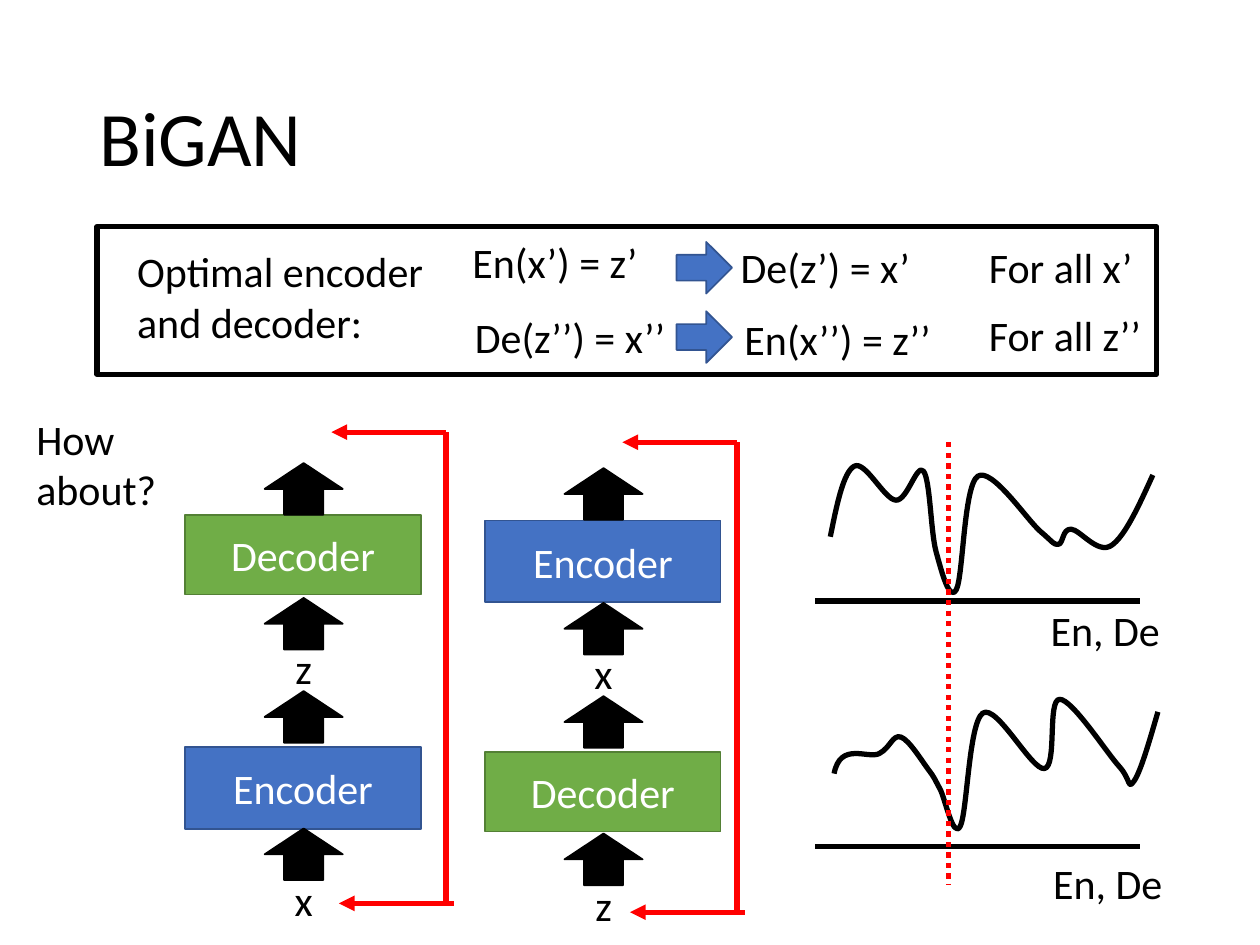
from lxml import etree
from pptx import Presentation
from pptx.dml.color import RGBColor
from pptx.enum.dml import MSO_LINE
from pptx.enum.shapes import MSO_CONNECTOR, MSO_SHAPE
from pptx.enum.text import MSO_ANCHOR, MSO_AUTO_SIZE, PP_ALIGN
from pptx.oxml.ns import qn
from pptx.util import Inches, Pt

RECTANGLE, RIGHT_ARROW = MSO_SHAPE.RECTANGLE, MSO_SHAPE.RIGHT_ARROW
STRAIGHT, DOTTED = MSO_CONNECTOR.STRAIGHT, MSO_LINE.ROUND_DOT
LEFT, CENTER, MIDDLE = PP_ALIGN.LEFT, PP_ALIGN.CENTER, MSO_ANCHOR.MIDDLE
GROW = MSO_AUTO_SIZE.SHAPE_TO_FIT_TEXT

BLACK = RGBColor(0x00, 0x00, 0x00)
WHITE = RGBColor(0xFF, 0xFF, 0xFF)
RED = RGBColor(0xFF, 0x00, 0x00)
BLUE = RGBColor(0x44, 0x72, 0xC4)
DARK_BLUE = RGBColor(0x32, 0x54, 0x91)
GREEN = RGBColor(0x70, 0xAD, 0x47)
DARK_GREEN = RGBColor(0x53, 0x80, 0x35)

# Height, fill and outline of each network block
BLOCKS = {"Encoder": (0.65, BLUE, DARK_BLUE), "Decoder": (0.63, GREEN, DARK_GREEN)}


def write(frame, text, color=BLACK, size=24, align=LEFT):
    frame.text = text
    frame.word_wrap = True
    paragraph = frame.paragraphs[0]
    paragraph.alignment = align
    for name, value in {"name": "Calibri", "size": Pt(size)}.items():
        setattr(paragraph.font, name, value)
    paragraph.font.color.rgb = color
    return paragraph


def add_text(slide, text, left, top, width, height=0.5, align=LEFT):
    box = slide.shapes.add_textbox(*map(Inches, (left, top, width, height)))
    write(box.text_frame, text, align=align)
    box.text_frame.auto_size = GROW


def style_outline(shape, color, width, fill=None):
    shape.shadow.inherit = False
    shape.line.color.rgb = color
    shape.line.width = Pt(width)
    if fill is None:
        shape.fill.background()
    else:
        shape.fill.solid()
        shape.fill.fore_color.rgb = fill


def add_preset(slide, preset, box, fill, outline, width=1):
    shape = slide.shapes.add_shape(preset, *map(Inches, box))
    style_outline(shape, outline, width, fill)
    return shape


def add_line(slide, start, end, color, arrow=False, dash=None):
    line = slide.shapes.add_connector(STRAIGHT, *map(Inches, start + end))
    line.line.color.rgb = color
    line.line.width = Pt(3)
    if dash:
        line.line.dash_style = dash
    if arrow:
        etree.SubElement(line.line._get_or_add_ln(), qn("a:tailEnd"), type="triangle")
    etree.SubElement(line._element.spPr, qn("a:effectLst"))


def add_curve(slide, points, first_control=None):
    """Smooth curve through the points, with tangents parallel to their neighbours."""
    points = [tuple(map(Inches, point)) for point in points]
    builder = slide.shapes.build_freeform(*points[0], scale=1.0)
    builder.add_line_segments(points[1:], close=False)
    shape = builder.convert_to_shape()
    style_outline(shape, BLACK, 3)

    def handle(index, sign):
        before, here, after = points[index - 1:index + 2]
        return tuple(h + sign * (a - b) / 6 for b, h, a in zip(before, here, after))

    def midpoint(first, second):
        return tuple((a + b) / 2 for a, b in zip(first, second))

    last = len(points) - 1
    for index, segment in enumerate(shape._element.findall(".//" + qn("a:lnTo"))):
        leaving = handle(index, 1) if index else None
        arriving = handle(index + 1, -1) if index + 1 < last else midpoint(leaving, points[last])
        if leaving is None:
            leaving = tuple(map(Inches, first_control)) if first_control else midpoint(points[0], arriving)
        segment.tag = qn("a:cubicBezTo")
        for place, (x, y) in enumerate((leaving, arriving)):
            point = etree.Element(qn("a:pt"), x=str(int(x - shape.left)), y=str(int(y - shape.top)))
            segment.insert(place, point)


def add_title(slide, box):
    title = slide.shapes.title
    for name, value in zip(("left", "top", "width", "height"), box):
        setattr(title, name, Inches(value))
    paragraph = write(title.text_frame, "BiGAN", size=44)
    paragraph.line_spacing = 0.9
    title.text_frame.vertical_anchor = MIDDLE


def add_optimum(slide, box):
    left, top, width, height = box
    # Text, horizontal and vertical offset, width
    formulas = [
        ("En(x’) = z’", 2.88, 0.03, 2.64),
        ("De(z’) = x’", 5.01, 0.07, 1.78),
        ("For all x’", 6.98, 0.07, 1.44),
        ("De(z’’) = x’’", 2.90, 0.62, 1.78),
        ("En(x’’) = z’’", 5.04, 0.64, 1.75),
        ("For all z’’", 6.98, 0.61, 1.44),
    ]
    for text, x, y, text_width in formulas:
        add_text(slide, text, left + x, top + y, text_width)
    for y in (0.12, 0.67):
        add_preset(slide, RIGHT_ARROW, (left + 4.6, top + y, 0.44, 0.41), BLUE, DARK_BLUE)
    add_preset(slide, RECTANGLE, box, None, BLACK, 3)
    add_text(slide, "Optimal encoder and decoder:", left + 0.22, top + 0.1, 2.54, 0.91)


def add_network(slide, left, top, width, blocks, signals):
    """Two blocks from top to bottom, each with the signal that enters it."""
    center = left + width / 2
    for name, offset in zip(blocks, (0.66, 2.5)):
        height, fill, outline = BLOCKS[name]
        block = add_preset(slide, RECTANGLE, (left, top + offset, width, height), fill, outline)
        write(block.text_frame, name, WHITE, align=CENTER)
        block.text_frame.vertical_anchor = MIDDLE
    for signal, offset in zip(signals, (1.62, 3.46)):
        add_text(slide, signal, center - 0.62, top + offset, 1.25, align=CENTER)
    for offset in (0.45, 1.52, 2.26, 3.35):
        arrow_box = (center - 0.2, top + offset - 0.31, 0.41, 0.62)
        add_preset(slide, RIGHT_ARROW, arrow_box, BLACK, BLACK).rotation = 270


def add_feedback(slide, x, top, bottom):
    add_line(slide, (x, top), (x, bottom), RED)
    for y, overhang in ((top, 0), (bottom, 0.06)):
        add_line(slide, (x + overhang, y), (x + overhang - 0.91, y), RED, arrow=True)


def add_loss_plot(slide, left, top, axis, label, points, first_control=None):
    def place(point):
        return left + point[0], top + point[1]

    add_line(slide, place((0, axis)), place((2.58, axis)), BLACK)
    add_curve(slide, list(map(place, points)), first_control and place(first_control))
    add_text(slide, "En, De", *place(label), 1.27)


def main():
    presentation = Presentation()
    presentation.slide_width, presentation.slide_height = Inches(10), Inches(7.5)
    slide = presentation.slides.add_slide(presentation.slide_layouts[5])

    add_title(slide, (0.69, 0.4, 8.62, 1.45))
    add_optimum(slide, (0.77, 1.8, 8.41, 1.17))
    add_text(slide, "How about?", 0.19, 3.23, 1.84)

    # Networks with their reconstruction loops
    add_network(slide, 1.47, 3.43, 1.87, ("Decoder", "Encoder"), ("z", "x"))
    add_network(slide, 3.85, 3.47, 1.87, ("Encoder", "Decoder"), ("x", "z"))
    add_feedback(slide, 3.54, 3.43, 7.17)
    add_feedback(slide, 5.85, 3.51, 7.24)

    # Loss plots sharing one minimum
    add_loss_plot(slide, 6.47, 3.69, 1.08, (1.77, 1.06), [
        (0.12, 0.57), (0.31, 0.01), (0.64, 0.28), (0.86, 0.05), (0.96, 0.69), (1.12, 0.99),
        (1.29, 0.09), (1.79, 0.53), (1.93, 0.63), (2.03, 0.51), (2.35, 0.64), (2.68, 0.08)])
    add_loss_plot(slide, 6.47, 5.55, 1.17, (1.79, 1.21), [
        (0.15, 0.59), (0.51, 0.43), (0.68, 0.30), (0.90, 0.56), (0.99, 0.71), (1.15, 1.01),
        (1.33, 0.11), (1.82, 0.55), (1.94, 0), (2.41, 0.53), (2.53, 0.65), (2.72, 0.10)],
        first_control=(0.2, 0.33))
    add_line(slide, (7.53, 3.51), (7.53, 7.02), RED, dash=DOTTED)

    presentation.save("out.pptx")


if __name__ == "__main__":
    main()
